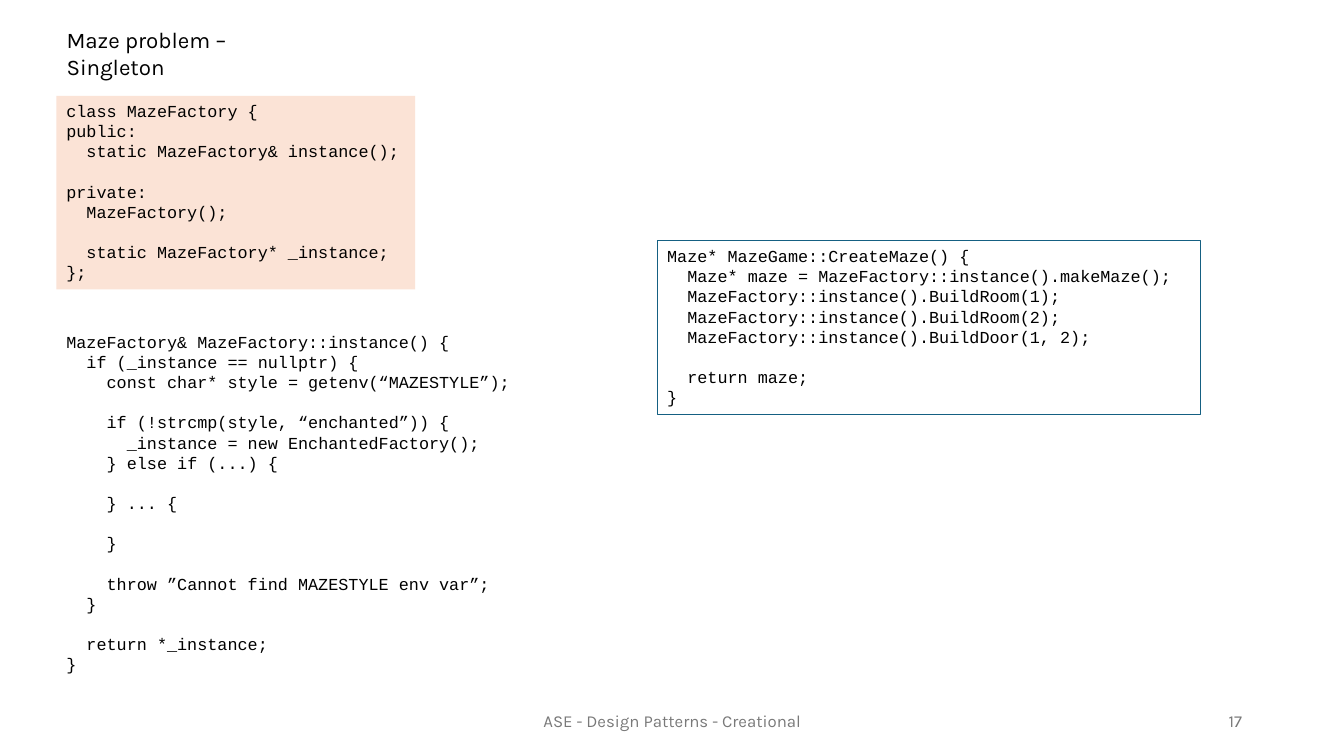
from dataclasses import dataclass

import pptx
import pptx.dml.color
import pptx.enum.shapes
import pptx.enum.text
import pptx.util

ALIGN = pptx.enum.text.PP_ALIGN
ANCHOR = pptx.enum.text.MSO_ANCHOR


@dataclass(frozen=True)
class Theme:
    text_font: str = "Karla"
    code_font: str = "Courier New"
    ink: str = "000000"
    muted: str = "797979"
    peach: str = "FBE3D6"
    teal: str = "156082"
    title_size: float = 16
    body_size: float = 12
    code_pitch: float = 14.4
    code_indent: float = 7.2
    border: float = 0.75


@dataclass(frozen=True)
class Box:
    left: float
    top: float
    width: float
    height: float


@dataclass(frozen=True)
class Listing:
    box: Box
    code: str
    fill: str = ""
    line: str = ""


@dataclass(frozen=True)
class Label:
    box: Box
    text: str
    align: ALIGN


THEME = Theme()
TITLE_BOX = Box(4.2, 2.8, 20.03, 4.93)

LABELS = [
    Label(Box(33.15, 92.67, 33.75, 5.33), "ASE - Design Patterns - Creational", ALIGN.CENTER),
    Label(Box(70.65, 92.67, 22.5, 5.33), "17", ALIGN.RIGHT),
]

LISTINGS = [
    Listing(Box(4.2, 12.67, 26.7, 25.6), """\
class MazeFactory {
public:
  static MazeFactory& instance();

private:
  MazeFactory();

  static MazeFactory* _instance;
};""", fill=THEME.peach),
    Listing(Box(48.9, 31.87, 40.43, 22.93), """\
Maze* MazeGame::CreateMaze() {
  Maze* maze = MazeFactory::instance().makeMaze();
  MazeFactory::instance().BuildRoom(1);
  MazeFactory::instance().BuildRoom(2);
  MazeFactory::instance().BuildDoor(1, 2);

  return maze;
}""", line=THEME.teal),
    Listing(Box(4.2, 43.2, 37.05, 47.07), """\
MazeFactory& MazeFactory::instance() {
  if (_instance == nullptr) {
    const char* style = getenv(“MAZESTYLE”);

    if (!strcmp(style, “enchanted”)) {
      _instance = new EnchantedFactory();
    } else if (...) {

    } ... {

    }

    throw ”Cannot find MAZESTYLE env var”;
  }

  return *_instance;
}"""),
]

prs = pptx.Presentation()
prs.slide_width = pptx.util.Inches(13.33)
prs.slide_height = pptx.util.Inches(7.5)
slide = prs.slides.add_slide(prs.slide_layouts[5])


def rgb(color: str) -> pptx.dml.color.RGBColor:
    return pptx.dml.color.RGBColor.from_string(color)


def frame(box: Box) -> tuple[int, int, int, int]:
    w, h = prs.slide_width, prs.slide_height
    shares = (box.left * w, box.top * h, box.width * w, box.height * h)
    return tuple(round(share / 100) for share in shares)


def style(p, font: str, size: float, color: str, align: ALIGN = ALIGN.LEFT) -> None:
    p.alignment = align
    for r in p.runs:
        r.font.name = font
        r.font.size = pptx.util.Pt(size)
        r.font.color.rgb = rgb(color)


def prepare(tf, anchor: ANCHOR) -> None:
    tf.word_wrap = True
    tf.auto_size = pptx.enum.text.MSO_AUTO_SIZE.NONE
    tf.vertical_anchor = anchor


def draw_title(box: Box, text: str) -> None:
    sp = slide.shapes.title
    sp.left, sp.top, sp.width, sp.height = frame(box)
    tf = sp.text_frame
    prepare(tf, ANCHOR.TOP)
    tf.text = text
    style(tf.paragraphs[0], THEME.text_font, THEME.title_size, THEME.ink)


def draw_label(label: Label) -> None:
    tf = slide.shapes.add_textbox(*frame(label.box)).text_frame
    prepare(tf, ANCHOR.MIDDLE)
    tf.text = label.text
    style(tf.paragraphs[0], THEME.text_font, THEME.body_size, THEME.muted, label.align)


def write_code(tf, code: str) -> None:
    lines = code.splitlines()
    tf.text = "\n".join(line.strip() for line in lines if line)
    paragraphs = iter(tf.paragraphs)
    gap = 0
    for line in lines:
        if not line:
            gap += THEME.code_pitch
            continue
        p = next(paragraphs)
        depth = len(line) - len(line.lstrip())
        pPr = p._p.get_or_add_pPr()
        pPr.set("marL", str(pptx.util.Pt(depth * THEME.code_indent)))
        pPr.set("indent", "0")
        p.line_spacing = pptx.util.Pt(THEME.code_pitch)
        p.space_before = pptx.util.Pt(gap)
        style(p, THEME.code_font, THEME.body_size, THEME.ink)
        gap = 0


def draw_listing(listing: Listing) -> None:
    if listing.fill or listing.line:
        kind = pptx.enum.shapes.MSO_SHAPE.RECTANGLE
        sp = slide.shapes.add_shape(kind, *frame(listing.box))
        sp.shadow.inherit = False
    else:
        sp = slide.shapes.add_textbox(*frame(listing.box))
    if listing.fill:
        sp.fill.solid()
        sp.fill.fore_color.rgb = rgb(listing.fill)
    else:
        sp.fill.background()
    if listing.line:
        sp.line.color.rgb = rgb(listing.line)
        sp.line.width = pptx.util.Pt(THEME.border)
    else:
        sp.line.fill.background()
    prepare(sp.text_frame, ANCHOR.TOP)
    write_code(sp.text_frame, listing.code)


def main() -> None:
    draw_title(TITLE_BOX, "Maze problem – Singleton")
    for label in LABELS:
        draw_label(label)
    for listing in LISTINGS:
        draw_listing(listing)
    prs.save("out.pptx")


if __name__ == "__main__":
    main()
